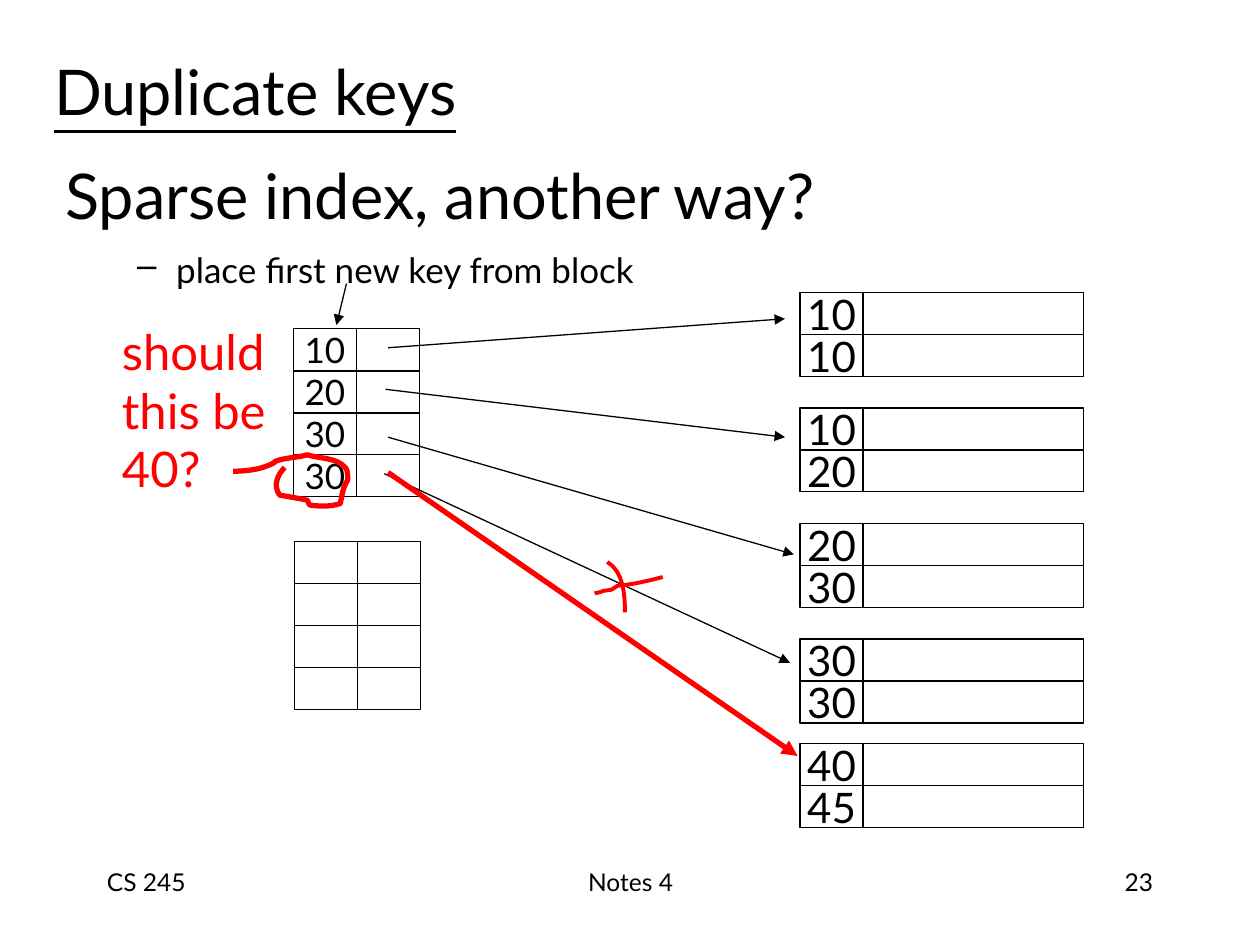
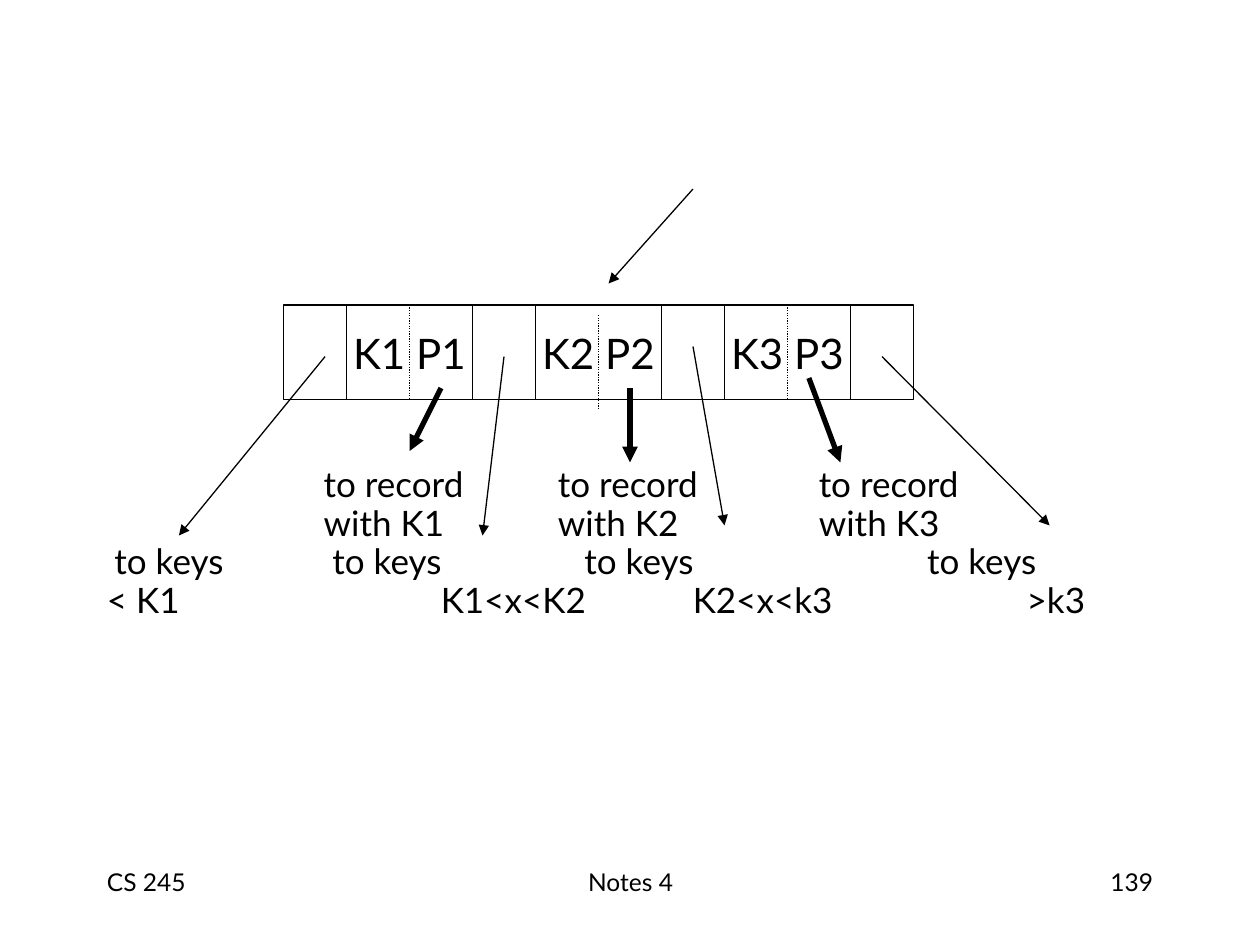
import dataclasses

import pptx
import pptx.dml.color
import pptx.enum.dml
import pptx.enum.shapes
import pptx.enum.text
import pptx.util
from lxml import etree
from pptx.oxml import ns

Inches = pptx.util.Inches
Pt = pptx.util.Pt
ALIGN = pptx.enum.text.PP_ALIGN
ANCHOR = pptx.enum.text.MSO_ANCHOR
ROUND_DOT = pptx.enum.dml.MSO_LINE.ROUND_DOT


@dataclasses.dataclass(frozen=True)
class Theme:
    font: str = "Lato"
    ink: str = "000000"
    paper: str = "FFFFFF"
    accent: str = "FF0000"
    title: int = 36
    note: int = 28
    cell: int = 24
    body: int = 20
    footer: int = 14
    thin: float = 0.75
    pen: float = 2.25
    thick: float = 3


def rgb(value):
    return pptx.dml.color.RGBColor.from_string(value)


def add_xml(parent, tag, **attrs):
    return etree.SubElement(parent, ns.qn(tag), attrs)


def bezier_points(start, curves, steps=8):
    """Sample cubic curves, each given as two control points and an end."""
    points = [start]
    for c1, c2, end in curves:
        p0 = points[-1]
        for i in range(1, steps + 1):
            t = i / steps
            u = 1 - t
            points.append(tuple(
                u ** 3 * a + 3 * u * u * t * b + 3 * u * t * t * c + t ** 3 * d
                for a, b, c, d in zip(p0, c1, c2, end)))
    return points


class Deck:
    LAYOUT_TITLE_ONLY, LAYOUT_BLANK = 5, 6

    def __init__(self, theme):
        self.theme = theme
        self.prs = pptx.Presentation()
        self.prs.slide_width, self.prs.slide_height = Inches(10), Inches(7.5)
        self.s = None

    def new_slide(self, number, title=None):
        layout = self.LAYOUT_TITLE_ONLY if title else self.LAYOUT_BLANK
        self.s = self.prs.slides.add_slide(self.prs.slide_layouts[layout])
        if title:
            self.title(title)
        size = self.theme.footer
        self.text("CS 245", 0.75, 6.83, 2.08, 0.5, size)
        self.text("Notes 4", 3.42, 6.83, 3.17, 0.5, size, align=ALIGN.CENTER)
        self.text(number, 7.17, 6.83, 2.08, 0.5, size, align=ALIGN.RIGHT)

    def format_text(self, tf, size, color=None, align=ALIGN.LEFT, anchor=ANCHOR.MIDDLE):
        tf.auto_size = pptx.enum.text.MSO_AUTO_SIZE.NONE
        tf.vertical_anchor = anchor
        tf.margin_left = tf.margin_right = Inches(0.1)
        tf.margin_top = tf.margin_bottom = Inches(0.05)
        for p in tf.paragraphs:
            p.alignment = align
            for r in p.runs:
                r.font.name = self.theme.font
                r.font.size = Pt(size)
                r.font.color.rgb = rgb(color or self.theme.ink)

    def title(self, text):
        sp = self.s.shapes.title
        sp.left, sp.top, sp.width, sp.height = map(Inches, (0.33, 0.33, 3.67, 0.77))
        sp.text_frame.text = text
        self.format_text(sp.text_frame, self.theme.title)
        sp.text_frame.paragraphs[0].runs[0].font.underline = True

    def text(self, text, x, y, w, h, size, color=None, align=ALIGN.LEFT, anchor=ANCHOR.TOP):
        tf = self.s.shapes.add_textbox(*map(Inches, (x, y, w, h))).text_frame
        tf.word_wrap = True
        tf.text = text
        self.format_text(tf, size, color, align, anchor)
        return tf

    def dash_item(self, text, x, y, w, h):
        tf = self.text(text, x, y, w, h, self.theme.body, anchor=ANCHOR.MIDDLE)
        pPr = tf.paragraphs[0]._p.get_or_add_pPr()
        pPr.set("marL", str(Inches(0.39)))
        pPr.set("indent", str(-Inches(0.31)))
        add_xml(pPr, "a:buChar", char="–")

    def tabbed_rows(self, rows, x, y, w, h):
        """Place each row's labels at their own slide positions by tab stops."""
        lines = ["".join("\t" + label for _, label in row) for row in rows]
        tf = self.text("\n".join(lines), x, y, w, h, self.theme.body)
        for p, row in zip(tf.paragraphs, rows):
            p.line_spacing = Pt(22)
            tabs = add_xml(p._p.get_or_add_pPr(), "a:tabLst")
            for stop, _ in row:
                add_xml(tabs, "a:tab", pos=str(Inches(stop - x - 0.1)), algn="l")

    def cell(self, x, y, w, h, text="", size=None):
        sp = self.s.shapes.add_shape(
            pptx.enum.shapes.MSO_SHAPE.RECTANGLE, *map(Inches, (x, y, w, h)))
        sp.shadow.inherit = False
        sp.fill.solid()
        sp.fill.fore_color.rgb = rgb(self.theme.paper)
        sp.line.color.rgb = rgb(self.theme.ink)
        sp.line.width = Pt(self.theme.thin)
        if text:
            sp.text_frame.text = text
            sp.text_frame.word_wrap = False
            self.format_text(sp.text_frame, size or self.theme.cell, align=ALIGN.CENTER)
        return sp

    def key_block(self, x, y, keys, value_width, size=None):
        """Stack rows of a key cell and an empty cell beside it."""
        row_height = 1 / 3
        for i, key in enumerate(keys):
            top = y + i * row_height
            self.cell(x, top, 0.5, row_height, key, size)
            self.cell(x + 0.5, top, value_width, row_height)

    def line(self, start, end, width=None, color=None, arrow=True, dash=None):
        cx = self.s.shapes.add_connector(
            pptx.enum.shapes.MSO_CONNECTOR.STRAIGHT, *map(Inches, start + end))
        cx.line.color.rgb = rgb(color or self.theme.ink)
        cx.line.width = Pt(width or self.theme.thin)
        if dash:
            cx.line.dash_style = dash
        if arrow:
            add_xml(cx.line._get_or_add_ln(), "a:tailEnd", type="triangle")
        add_xml(cx._element.spPr, "a:effectLst")
        return cx

    def scribble(self, start, curves, width):
        points = [tuple(map(Inches, pt)) for pt in bezier_points(start, curves)]
        builder = self.s.shapes.build_freeform(*points[0], scale=1.0)
        builder.add_line_segments(points[1:], close=False)
        sp = builder.convert_to_shape()
        sp.shadow.inherit = False
        sp.fill.background()
        sp.line.color.rgb = rgb(self.theme.accent)
        sp.line.width = Pt(width)


def duplicate_keys_slide(deck):
    th = deck.theme
    deck.new_slide("23", "Duplicate keys")

    data_blocks = [("10", "10"), ("10", "20"), ("20", "30"), ("30", "30")]
    for i, keys in enumerate(data_blocks):
        deck.key_block(6.35, 2.32 + i * 0.917, keys, 1.75)
    deck.key_block(6.35, 5.9, ("40", "45"), 1.75)
    deck.key_block(2.33, 2.61, ("10", "20", "30", "30"), 0.5, th.body)
    deck.key_block(2.34, 4.3, [""] * 4, 0.5)

    deck.text("Sparse index, another way?", 0.42, 0.92, 8.5, 1.25, th.title,
              anchor=ANCHOR.MIDDLE)
    deck.dash_item("place first new key from block", 0.91, 1.92, 4.3, 0.44)
    for start, end in [
        ((3.08, 2.76), (6.23, 2.53)),
        ((3.06, 3.09), (6.23, 3.47)),
        ((3.08, 3.47), (6.3, 4.4)),
        ((3.05, 3.76), (6.27, 5.26)),
        ((2.75, 2.25), (2.67, 2.58)),
    ]:
        deck.line(start, end)

    deck.text("should\nthis be\n40?", 0.87, 2.5, 1.44, 1.5, th.note, th.accent,
              anchor=ANCHOR.MIDDLE)
    circle_last_key = [
        ((2.21, 3.76), (2.16, 3.85), (2.22, 3.93)),
        ((2.22, 3.93), (2.4, 3.96), (2.44, 3.97)),
        ((2.45, 3.99), (2.45, 4.01), (2.47, 4.01)),
        ((2.55, 4.02), (2.62, 4.02), (2.69, 4)),
        ((2.71, 4), (2.7, 3.97), (2.71, 3.96)),
        ((2.72, 3.89), (2.73, 3.86), (2.76, 3.81)),
        ((2.76, 3.77), (2.76, 3.73), (2.74, 3.71)),
        ((2.67, 3.63), (2.53, 3.64), (2.44, 3.61)),
        ((2.37, 3.63), (2.3, 3.63), (2.22, 3.65)),
        ((2.13, 3.68), (2.23, 3.65), (2.14, 3.69)),
        ((2.05, 3.73), (1.94, 3.74), (1.85, 3.74)),
    ]
    cross_stroke = [
        ((5.15, 4.61), (5.02, 4.64), (4.9, 4.65)),
        ((4.84, 4.69), (4.86, 4.68), (4.79, 4.69)),
        ((4.77, 4.7), (4.72, 4.71), (4.72, 4.71)),
    ]
    deck.scribble((2.26, 3.71), circle_last_key, th.thick)
    deck.scribble((5.26, 4.58), cross_stroke, th.pen)
    deck.scribble((4.82, 4.46), [((4.95, 4.54), (4.96, 4.72), (4.96, 4.86))], th.pen)
    deck.line((3.08, 3.75), (6.33, 6), th.thick, th.accent)


def tree_node_slide(deck):
    deck.new_slide("139")
    deck.tabbed_rows([
        [(2.57, "to record"), (4.43, "to record"), (6.5, "to record")],
        [(2.57, "with K1"), (4.43, "with K2"), (6.5, "with K3")],
        [(0.91, "to keys"), (2.64, "to keys"), (4.64, "to keys"), (7.36, "to keys")],
        [(0.85, "< K1"), (3.5, "K1<x<K2"), (5.5, "K2<x<k3"), (8.15, ">k3")],
    ], 0.67, 3.65, 8.5, 1.4)

    top, height = 2.42, 0.75
    for i in range(4):
        deck.cell(2.25 + 1.5 * i, top, 0.5, height)
    for i in range(3):
        x = 2.75 + 1.5 * i
        key = deck.cell(x, top, 1, height, f"K{i + 1} P{i + 1}")
        drop = 0.08 if i == 1 else 0
        divider = deck.line((x + 0.5, top + drop), (x + 0.5, top + height + drop),
                            arrow=False, dash=ROUND_DOT)
        if not drop:
            divider.begin_connect(key, 0)
            divider.end_connect(key, 2)

    record_arrows = [
        ((3.5, 3.08), (3.25, 3.58)),
        ((5, 3.08), (5, 3.67)),
        ((6.42, 3), (6.67, 3.67)),
    ]
    node_arrows = [
        ((2.58, 2.83), (1.42, 4.25)),
        ((4, 2.83), (3.83, 4.25)),
        ((5.5, 2.75), (5.75, 4.17)),
        ((7, 2.83), (8.33, 4.17)),
        ((5.5, 1.5), (4.83, 2.25)),
    ]
    for start, end in record_arrows:
        deck.line(start, end, deck.theme.thick)
    for start, end in node_arrows:
        deck.line(start, end)


def main():
    deck = Deck(Theme())
    duplicate_keys_slide(deck)
    tree_node_slide(deck)
    deck.prs.save("out.pptx")


if __name__ == "__main__":
    main()
